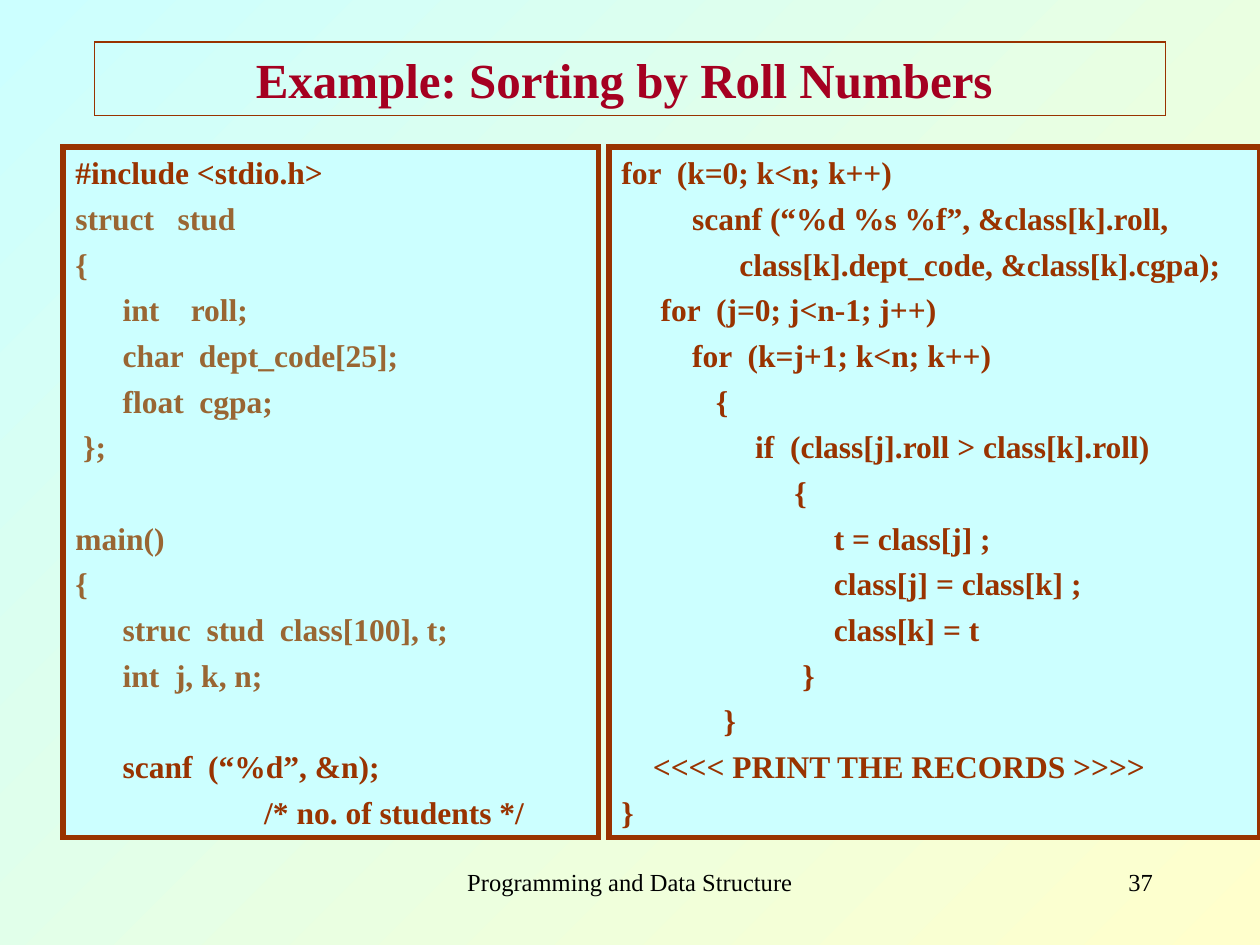
import dataclasses

import lxml.etree
import pptx
import pptx.dml.color
import pptx.enum.shapes
import pptx.enum.text
import pptx.oxml.ns
import pptx.util

GRID_COLUMNS, GRID_ROWS = 120, 90
FONT = "Times New Roman"
RUST, BROWN, CRIMSON, BLACK = "993300", "996633", "A50021", "000000"
PALE_CYAN, PALE_YELLOW = "CCFFFF", "FFFFCC"
CODE_SIZE = 18
PARAGRAPH_GAP = 4.5
BLANK_LINE = 26.1

ALIGN = pptx.enum.text.PP_ALIGN
ANCHOR = pptx.enum.text.MSO_ANCHOR


@dataclasses.dataclass
class Area:
    """Place on the slide, in grid columns and rows."""
    column: float
    row: float
    columns: float
    rows: float


@dataclasses.dataclass
class Label:
    area: Area
    text: str
    size: float
    color: str = BLACK
    bold: bool = False
    align: ALIGN = ALIGN.CENTER
    anchor: ANCHOR = ANCHOR.TOP
    outline: float = 0
    right_inset: float = 0.1


@dataclasses.dataclass
class CodePanel:
    area: Area
    blocks: list[tuple[str, str]]  # (colour, source lines)


LABELS = [
    Label(Area(41, 82, 38, 6), "Programming and Data Structure", 14),
    Label(Area(86, 82, 25, 6), "37", 14, align=ALIGN.RIGHT),
    Label(Area(9, 4, 102, 7), "Example: Sorting by Roll Numbers", 28, CRIMSON, True,
          anchor=ANCHOR.MIDDLE, outline=0.75, right_inset=0.19),
]

PANELS = [
    CodePanel(Area(6, 14, 51, 65.75), [
        (RUST, "#include <stdio.h>"),
        (BROWN, """struct   stud
{
      int    roll;
      char  dept_code[25];
      float  cgpa;
 };

main()
{
      struc  stud  class[100], t;
      int  j, k, n;
"""),
        (RUST, """      scanf  (“%d”, &n);
                        /* no. of students */"""),
    ]),
    CodePanel(Area(58, 14, 62, 65.75), [
        (RUST, """for  (k=0; k<n; k++)
         scanf (“%d %s %f”, &class[k].roll,
               class[k].dept_code, &class[k].cgpa);
     for  (j=0; j<n-1; j++)
         for  (k=j+1; k<n; k++)
            {
                 if  (class[j].roll > class[k].roll)
                      {
                           t = class[j] ;
                           class[j] = class[k] ;
                           class[k] = t
                       }
             }
    <<<< PRINT THE RECORDS >>>>
}"""),
    ]),
]


def rgb(color: str) -> pptx.dml.color.RGBColor:
    return pptx.dml.color.RGBColor.from_string(color)


def draw_outline(box, width: float) -> None:
    """Give the box a rust line with square corners."""
    box.line.color.rgb = rgb(RUST)
    box.line.width = pptx.util.Pt(width)
    line = box.line.fill._xPr
    lxml.etree.SubElement(line, pptx.oxml.ns.qn("a:miter"), lim="800000")


def add_box(deck, page, area: Area, fill: str = "", outline: float = 0):
    cell_width = deck.slide_width / GRID_COLUMNS
    cell_height = deck.slide_height / GRID_ROWS
    box = page.shapes.add_shape(
        pptx.enum.shapes.MSO_SHAPE.RECTANGLE,
        round(area.column * cell_width), round(area.row * cell_height),
        round(area.columns * cell_width), round(area.rows * cell_height))
    box.shadow.inherit = False
    if fill:
        box.fill.solid()
        box.fill.fore_color.rgb = rgb(fill)
    else:
        box.fill.background()
    if outline:
        draw_outline(box, outline)
    else:
        box.line.fill.background()
    box.text_frame.word_wrap = True
    return box


def add_span(para, text: str, size: float, color: str, bold: bool) -> None:
    span = para.add_run()
    span.text = text
    span.font.name = FONT
    span.font.size = pptx.util.Pt(size)
    span.font.bold = bold
    span.font.color.rgb = rgb(color)


def draw_label(deck, page, label: Label) -> None:
    frame = add_box(deck, page, label.area, outline=label.outline).text_frame
    frame.vertical_anchor = label.anchor
    frame.margin_right = pptx.util.Inches(label.right_inset)
    para = frame.paragraphs[0]
    para.alignment = label.align
    add_span(para, label.text, label.size, label.color, label.bold)


def draw_panel(deck, page, panel: CodePanel) -> None:
    """Draw a code box; an empty source line becomes space before the next one."""
    frame = add_box(deck, page, panel.area, PALE_CYAN, 3).text_frame
    frame.vertical_anchor = ANCHOR.TOP
    lines = [(color, line) for color, block in panel.blocks for line in block.split("\n")]
    gap = 0
    for index, (color, line) in enumerate(lines):
        if not line:
            gap += BLANK_LINE
            continue
        para = frame.add_paragraph() if index else frame.paragraphs[0]
        para.alignment = ALIGN.LEFT
        para.space_before = pptx.util.Pt(gap)
        add_span(para, line, CODE_SIZE, color, True)
        gap = PARAGRAPH_GAP


def paint_background(page) -> None:
    fill = page.background.fill
    fill.gradient()
    fill.gradient_angle = 315
    for stop, color in zip(fill.gradient_stops, (PALE_CYAN, PALE_YELLOW)):
        stop.color.rgb = rgb(color)


def main() -> None:
    deck = pptx.Presentation()
    deck.slide_width = pptx.util.Inches(10)
    deck.slide_height = pptx.util.Inches(7.5)
    page = deck.slides.add_slide(deck.slide_layouts[6])
    paint_background(page)
    for label in LABELS:
        draw_label(deck, page, label)
    for panel in PANELS:
        draw_panel(deck, page, panel)
    deck.save("out.pptx")


if __name__ == "__main__":
    main()
